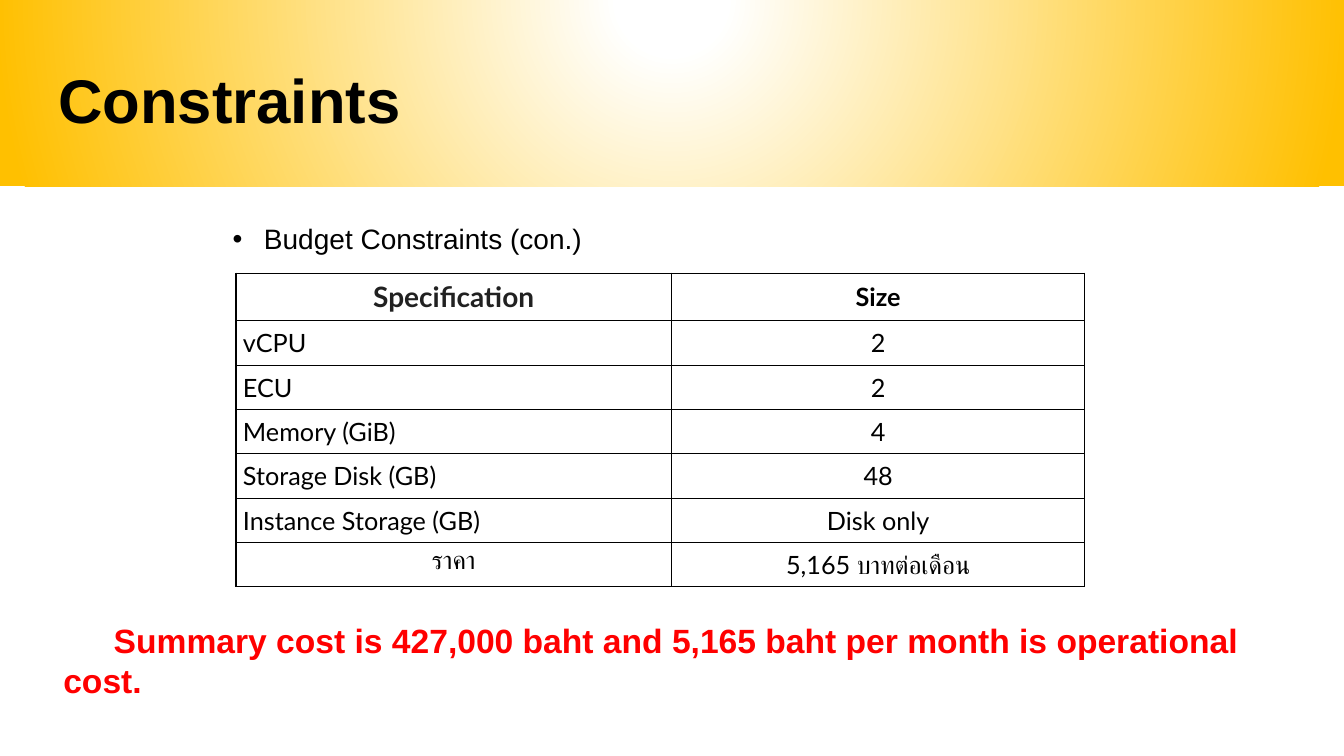
from lxml import etree
from pptx import Presentation, util as u
from pptx.dml.color import RGBColor
from pptx.enum import shapes, text
from pptx.oxml.ns import qn

ROWS = [
    ("Specification", "Size"),
    ("vCPU", "2"),
    ("ECU", "2"),
    ("Memory (GiB)", "4"),
    ("Storage Disk (GB)", "48"),
    ("Instance Storage (GB)", "Disk only"),
    ("ราคา", "5,165 บาทต่อเดือน"),
]


def color(code):
    return RGBColor.from_string(code)


def add(parent, tag, **attrs):
    """Append a drawing element such as a:ln and return it."""
    return etree.SubElement(parent, qn(tag), {k: str(v) for k, v in attrs.items()})


def solid(parent, code):
    add(add(parent, "a:solidFill"), "a:srgbClr", val=code)


class Deck:
    ink, red, gold = "000000", "FF0000", "FFC000"
    face, grid = "Arial", "Lato"
    inset = u.Inches(0.07)

    def __init__(self):
        self.prs = Presentation()
        self.prs.slide_width = u.Inches(13.33)
        self.prs.slide_height = u.Inches(7.5)
        self.slide = self.prs.slides.add_slide(self.prs.slide_layouts[6])

    def style(self, para, size, code=ink, **form):
        para.font.color.rgb = color(code)
        form = {"name": self.face, "size": u.Pt(size), "bold": False} | form
        for key, value in form.items():
            setattr(para.font, key, value)

    def label(self, box, words, size, code=ink, left=0, indent=0, bullet=None,
              spacing=None, frame=None, **form):
        """Add a text box; left and indent are the paragraph's, in inches."""
        body = self.slide.shapes.add_textbox(*map(u.Inches, box)).text_frame
        for key, value in ({"word_wrap": True} | (frame or {})).items():
            setattr(body, key, value)
        para = body.paragraphs[0]
        para.text = words
        para.line_spacing = spacing
        props = para._p.get_or_add_pPr()
        props.set("marL", str(u.Inches(left)))
        props.set("indent", str(u.Inches(indent)))
        if bullet:
            add(props, "a:buFont", typeface=self.face)
            add(props, "a:buChar", char=bullet)
        self.style(para, size, code, **form)

    def band(self, box):
        """Add the header band with its round glow from above."""
        shape = self.slide.shapes.add_shape(
            shapes.MSO_SHAPE.RECTANGLE, *map(u.Inches, box))
        shape.shadow.inherit = False
        shape.line.fill.background()
        shape.fill.gradient()
        grad = shape._element.spPr.find(qn("a:gradFill"))
        for child in list(grad):
            grad.remove(child)
        stops = add(grad, "a:gsLst")
        for pos, code in ((0, "FFFFFF"), (8, "FFFFFF"), (100, self.gold)):
            add(add(stops, "a:gs", pos=pos * 1000), "a:srgbClr", val=code)
        glow = add(grad, "a:path", path="circle")
        add(glow, "a:fillToRect", l=50000, t=-80000, r=50000, b=180000)

    def cell(self, cell, words, size, center, middle, **form):
        for side in ("left", "right", "top", "bottom"):
            setattr(cell, f"margin_{side}", self.inset)
        anchor = text.MSO_ANCHOR
        cell.vertical_anchor = anchor.MIDDLE if middle else anchor.TOP
        props = cell._tc.get_or_add_tcPr()
        for side in ("a:lnL", "a:lnR", "a:lnT", "a:lnB"):
            solid(add(props, side, w=u.Pt(1)), self.ink)
        cell.fill.background()
        para = cell.text_frame.paragraphs[0]
        para.text = words
        align = text.PP_ALIGN
        para.alignment = align.CENTER if center else align.LEFT
        self.style(para, size, name=self.grid, **form)

    def table(self, box, rows, widths, head, step):
        """Add a table; head and step are the heights of first and later rows."""
        table = self.slide.shapes.add_table(
            len(rows), len(widths), *map(u.Inches, box)).table
        table.first_row = table.horz_banding = False
        for col, width in zip(table.columns, widths):
            col.width = u.Inches(width)
        for r, row in enumerate(rows):
            first, last = r == 0, r == len(rows) - 1
            table.rows[r].height = u.Inches(head if first else step)
            for c, words in enumerate(row):
                title = first and c == 0
                self.cell(table.cell(r, c), words, 20 if title else 18,
                          center=c > 0 or first or last, middle=first,
                          code="212121" if title else self.ink, bold=first)


def main():
    deck = Deck()
    grow = {"auto_size": text.MSO_AUTO_SIZE.SHAPE_TO_FIT_TEXT}
    deck.label((2.21, 2.15, 3.69, 0.44), "Budget Constraints (con.)", 20,
               left=0.31, indent=-0.31, bullet="•",
               frame=grow | {"word_wrap": False})
    deck.table((2.34, 2.71, 8.42, 3.11), ROWS, (4.32, 4.1), 0.47, 0.44)
    deck.label((0.53, 6.1, 12.27, 0.5),
               "Summary cost is 427,000 baht and 5,165 baht per month"
               " is operational cost.",
               24, deck.red, indent=0.5, frame=grow, bold=True)
    deck.band((0, 0, 13.33, 1.85))
    deck.label((0.48, 0.3, 11.5, 1.45), "Constraints", 44, spacing=0.9,
               frame={"vertical_anchor": text.MSO_ANCHOR.MIDDLE}, bold=True)
    deck.prs.save("out.pptx")


if __name__ == "__main__":
    main()
